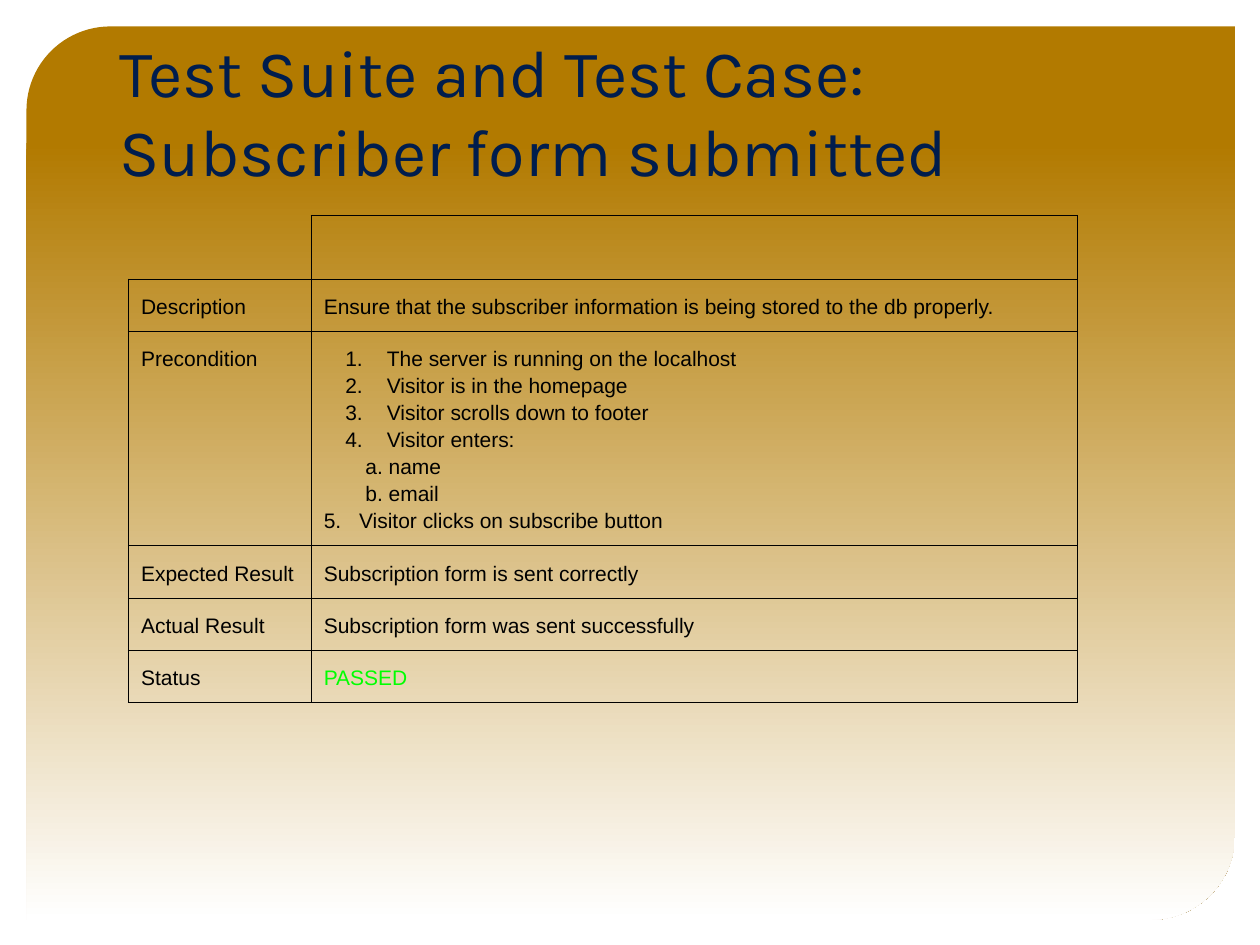
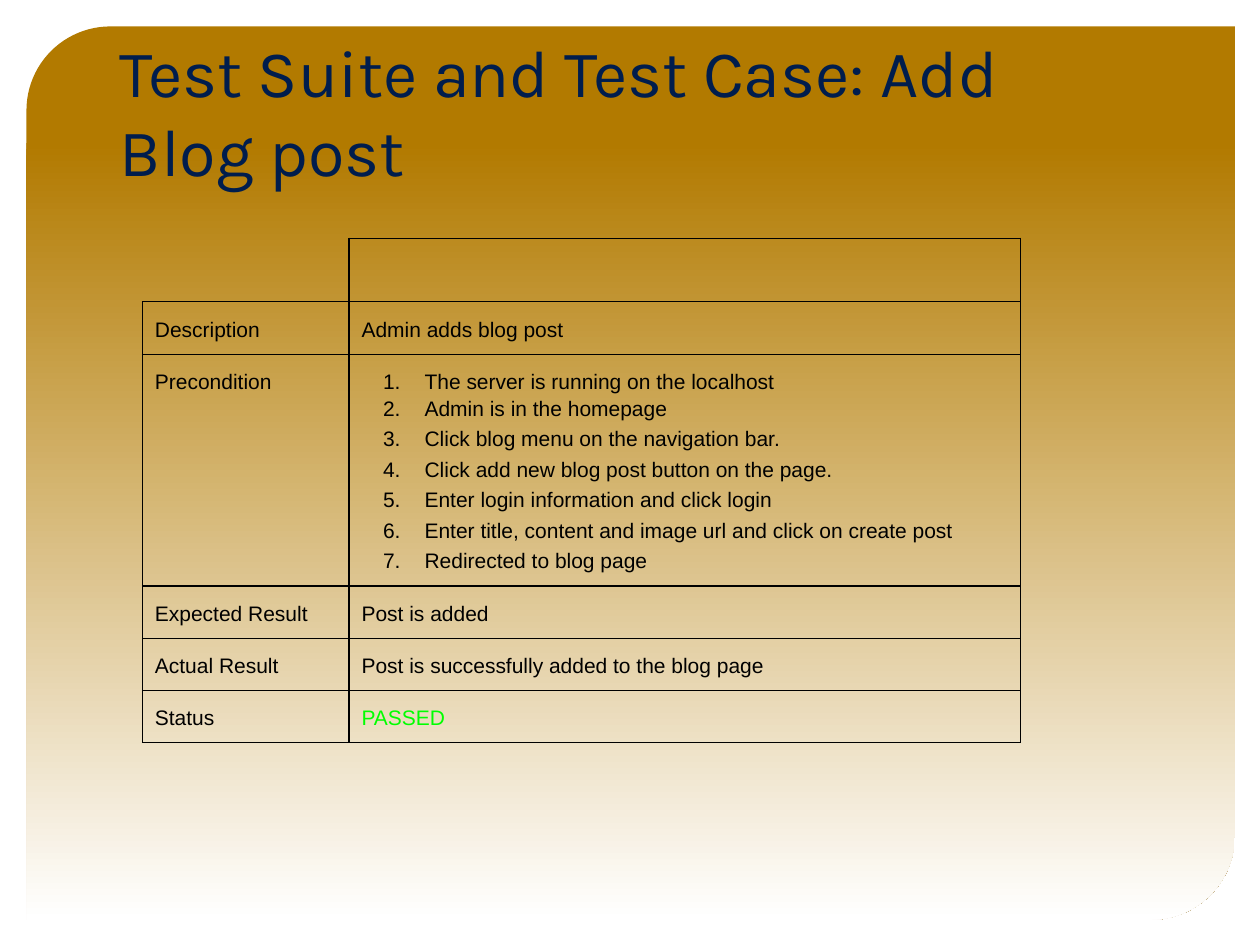
from copy import deepcopy
from dataclasses import dataclass

from lxml import etree
from pptx import Presentation
from pptx import util as u
from pptx.dml.color import RGBColor
from pptx.enum import shapes, text
from pptx.oxml import ns

PX = 9144  # EMU in one px, 100 px to the inch

GOLD = RGBColor(0xB2, 0x7A, 0x00)
WHITE = RGBColor(0xFF, 0xFF, 0xFF)
NAVY = RGBColor(0x00, 0x1D, 0x4D)
BLACK = RGBColor(0x00, 0x00, 0x00)
GREEN = RGBColor(0x00, 0xFF, 0x00)

TITLE_FONT, BODY_FONT = "Karla", "Arial"
LABELS = ["Description", "Precondition", "Expected Result", "Actual Result", "Status"]
HEADER_HEIGHT, ROW_HEIGHT, CELL_MARGIN = 48, 41, 10
BORDER_WIDTH = u.Pt(0.75)


@dataclass(frozen=True)
class Line:
    text: str
    left: int = 0
    hang: int = 0
    numbered: bool = False
    spacing: float = 1.15
    before: int = 0
    color: RGBColor = BLACK


@dataclass(frozen=True)
class TestCase:
    title: str
    left: int
    top: int
    columns: tuple[int, int]
    steps_height: int
    description: str
    steps: list[Line]
    expected: str
    actual: str


def step(words: str) -> Line:
    return Line(words, left=50, hang=33, numbered=True)


def spaced_step(words: str) -> Line:
    return Line(words, left=50, hang=33, numbered=True, spacing=1.0, before=4)


CASES = [
    TestCase(
        "Test Suite and Test Case: Subscriber form submitted",
        102, 171, (145, 608), 170,
        "Ensure that the subscriber information is being stored to the db properly.",
        [
            step("The server is running on the localhost"),
            step("Visitor is in the homepage"),
            step("Visitor scrolls down to footer"),
            step("Visitor enters:"),
            Line("a. name", left=33),
            Line("b. email", left=33),
            Line("5.\tVisitor clicks on subscribe button", left=28, hang=28),
        ],
        "Subscription form is sent correctly",
        "Subscription form was sent successfully",
    ),
    TestCase(
        "Test Suite and Test Case: Add Blog post",
        113, 189, (164, 533), 184,
        "Admin adds blog post",
        [
            step("The server is running on the localhost"),
            step("Admin is in the homepage"),
            spaced_step("Click blog menu on the navigation bar."),
            spaced_step("Click add new blog post button on the page."),
            spaced_step("Enter login information and click login"),
            spaced_step("Enter title, content and image url and click on create post"),
            spaced_step("Redirected to blog page"),
        ],
        "Post is added",
        "Post is successfully added to the blog page",
    ),
]


def move_panel_to_layout(page, layout) -> None:
    """Draw the gradient panel once and keep it on the shared layout."""
    panel = page.shapes.add_shape(
        shapes.MSO_SHAPE.ROUND_2_DIAG_RECTANGLE, 21 * PX, 21 * PX, 959 * PX, 709 * PX)
    panel.adjustments[0], panel.adjustments[1] = 0.094, 0
    panel.shadow.inherit = False
    panel.line.fill.background()
    panel.fill.gradient()
    panel.fill.gradient_angle = 270
    stop_list = panel.element.find(".//" + ns.qn("a:gsLst"))
    stop_list.insert(1, deepcopy(stop_list[0]))
    stops = [(0, GOLD), (0.13, GOLD), (1, WHITE)]
    for stop, (position, color) in zip(panel.fill.gradient_stops, stops):
        stop.position, stop.color.rgb = position, color
    panel.element.nvSpPr.cNvPr.set("id", "99")
    layout.shapes.element.insert(2, panel.element)


def write_title(page, words: str) -> None:
    title = page.shapes.title
    title.left, title.top, title.width, title.height = (
        side * PX for side in (85, 42, 829, 114))
    frame = title.text_frame
    frame.text = words
    frame.word_wrap = True
    frame.auto_size = text.MSO_AUTO_SIZE.NONE
    frame.vertical_anchor = text.MSO_ANCHOR.BOTTOM
    para = frame.paragraphs[0]
    para.alignment = text.PP_ALIGN.LEFT
    font = para.runs[0].font
    font.name, font.size, font.color.rgb = TITLE_FONT, u.Pt(38), NAVY


def write_line(para, line: Line) -> None:
    para.text = line.text
    para.line_spacing = line.spacing
    para.space_before = u.Pt(line.before)
    font = para.runs[0].font
    font.name, font.size, font.color.rgb = BODY_FONT, u.Pt(12), line.color
    settings = para._p.get_or_add_pPr()
    settings.set("marL", str(line.left * PX))
    settings.set("indent", str(-line.hang * PX))
    if line.numbered:
        bullet_font = etree.SubElement(settings, ns.qn("a:buFont"))
        bullet_font.set("typeface", BODY_FONT)
        etree.SubElement(settings, ns.qn("a:buAutoNum")).set("type", "arabicPeriod")


def format_cell(cell, bare_sides: str = "") -> None:
    """Clear the fill and rule every side except the bare ones."""
    cell.margin_left = cell.margin_right = CELL_MARGIN * PX
    cell.margin_top = cell.margin_bottom = CELL_MARGIN * PX
    cell.fill.background()
    settings = cell._tc.get_or_add_tcPr()
    for index, side in enumerate("LRTB"):
        border = etree.Element(ns.qn(f"a:ln{side}"), w=str(BORDER_WIDTH))
        if side in bare_sides:
            etree.SubElement(border, ns.qn("a:noFill"))
        else:
            fill = etree.SubElement(border, ns.qn("a:solidFill"))
            etree.SubElement(fill, ns.qn("a:srgbClr")).set("val", str(BLACK))
        settings.insert(index, border)


def draw_table(page, case: TestCase) -> None:
    heights = [HEADER_HEIGHT, ROW_HEIGHT, case.steps_height] + [ROW_HEIGHT] * 3
    table = page.shapes.add_table(
        len(heights), 2, case.left * PX, case.top * PX,
        sum(case.columns) * PX, sum(heights) * PX).table
    table.first_row = table.horz_banding = False
    for column, width in zip(table.columns, case.columns):
        column.width = width * PX
    for row, height in zip(table.rows, heights):
        row.height = height * PX

    format_cell(table.cell(0, 0), bare_sides="LT")
    format_cell(table.cell(0, 1))
    contents = [[Line(case.description)], case.steps, [Line(case.expected)],
                [Line(case.actual)], [Line("PASSED", color=GREEN)]]
    for row_index, (label, lines) in enumerate(zip(LABELS, contents), start=1):
        for column_index, cell_lines in enumerate(([Line(label)], lines)):
            cell = table.cell(row_index, column_index)
            format_cell(cell)
            frame = cell.text_frame
            for index, line in enumerate(cell_lines):
                write_line(frame.add_paragraph() if index else frame.paragraphs[0], line)


def main() -> None:
    deck = Presentation()
    deck.slide_width, deck.slide_height = 1000 * PX, 750 * PX
    layout = deck.slide_layouts.get_by_name("Title Only")
    for index, case in enumerate(CASES):
        page = deck.slides.add_slide(layout)
        if index == 0:
            move_panel_to_layout(page, layout)
        write_title(page, case.title)
        draw_table(page, case)
    deck.save("out.pptx")


if __name__ == "__main__":
    main()
